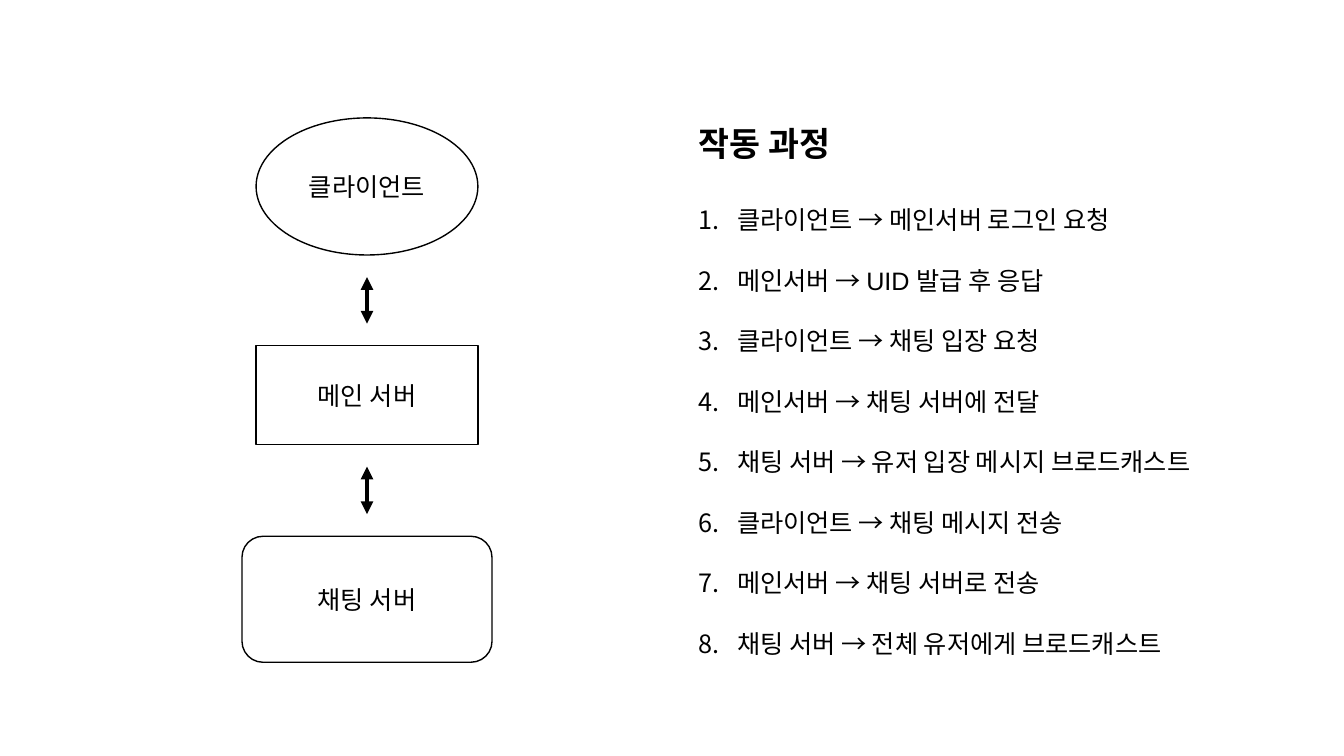
from itertools import pairwise

from lxml import etree
from pptx import Presentation
from pptx.dml.color import RGBColor
from pptx.enum.shapes import MSO_CONNECTOR, MSO_SHAPE
from pptx.enum.text import MSO_ANCHOR, MSO_AUTO_SIZE, PP_ALIGN
from pptx.oxml.ns import qn
from pptx.util import Emu, Pt

EMU_PER_PX = 9144
COLORS = {"ink": "000000", "paper": "FFFFFF"}
LATIN, HANGUL = "Arial", "Noto Sans CJK KR"
STRAIGHT = MSO_CONNECTOR.STRAIGHT
ELLIPSE = MSO_SHAPE.FLOWCHART_CONNECTOR
RECTANGLE, ROUNDED = MSO_SHAPE.RECTANGLE, MSO_SHAPE.ROUNDED_RECTANGLE
TOP, MIDDLE = MSO_ANCHOR.TOP, MSO_ANCHOR.MIDDLE
LEFT, CENTER = PP_ALIGN.LEFT, PP_ALIGN.CENTER
NO_AUTOFIT = MSO_AUTO_SIZE.NONE

FLOW_CENTER = 364
ARROW_GAP = 22
# label, shape, top, width, height
FLOW = [
    ("클라이언트", ELLIPSE, 117, 220, 136),
    ("메인 서버", RECTANGLE, 343, 220, 98),
    ("채팅 서버", ROUNDED, 532, 248, 125),
]
STEPS = [
    "클라이언트 → 메인서버 로그인 요청",
    "메인서버 → UID 발급 후 응답",
    "클라이언트 → 채팅 입장 요청",
    "메인서버 → 채팅 서버에 전달",
    "채팅 서버 → 유저 입장 메시지 브로드캐스트",
    "클라이언트 → 채팅 메시지 전송",
    "메인서버 → 채팅 서버로 전송",
    "채팅 서버 → 전체 유저에게 브로드캐스트",
]


def px(length):
    return Emu(length * EMU_PER_PX)


def color(name):
    return RGBColor.from_string(COLORS[name])


class ProcessSlide:
    def __init__(self, presentation):
        self.slide = presentation.slides.add_slide(presentation.slide_layouts[1])

    def style(self, paragraph, size, align, latin=HANGUL, bold=False):
        paragraph.alignment = align
        font = paragraph.font
        font.size, font.bold, font.name = Pt(size), bold, latin
        font.color.rgb = color("ink")
        # East Asian text takes its own typeface element
        properties = paragraph._p.pPr.find(qn("a:defRPr"))
        etree.SubElement(properties, qn("a:ea"), typeface=HANGUL)

    def place(self, placeholder, left, top, width, height):
        placeholder.left, placeholder.top = px(left), px(top)
        placeholder.width, placeholder.height = px(width), px(height)
        frame = placeholder.text_frame
        frame.auto_size = NO_AUTOFIT
        frame.word_wrap = False
        frame.vertical_anchor = TOP
        return frame

    def title(self, text, *box):
        frame = self.place(self.slide.shapes.title, *box)
        frame.text = text
        self.style(frame.paragraphs[0], 24, LEFT, bold=True)

    def numbered_list(self, items, *box):
        frame = self.place(self.slide.placeholders[1], *box)
        frame.text = "\n".join(items)
        for paragraph in frame.paragraphs:
            properties = paragraph._p.get_or_add_pPr()
            properties.set("marL", str(px(38)))
            properties.set("indent", str(px(-38)))
            etree.SubElement(properties, qn("a:buAutoNum"), type="arabicPeriod")
            paragraph.line_spacing = 2.0
            paragraph.space_before = Pt(0)
            self.style(paragraph, 18, LEFT, latin=LATIN)

    def node(self, label, kind, top, width, height):
        node = self.slide.shapes.add_shape(
            kind, px(FLOW_CENTER - width // 2), px(top), px(width), px(height))
        node.shadow.inherit = False
        node.fill.solid()
        node.fill.fore_color.rgb = color("paper")
        node.line.color.rgb = color("ink")
        node.line.width = Pt(1)
        frame = node.text_frame
        frame.text = label
        frame.vertical_anchor = MIDDLE
        self.style(frame.paragraphs[0], 18, CENTER)

    def double_arrow(self, x, top, bottom):
        arrow = self.slide.shapes.add_connector(
            STRAIGHT, px(x), px(top), px(x), px(bottom))
        arrow.line.color.rgb = color("ink")
        arrow.line.width = Pt(3)
        line = arrow.line._get_or_add_ln()
        for end in ("a:headEnd", "a:tailEnd"):
            etree.SubElement(line, qn(end), type="triangle")
        etree.SubElement(arrow._element.spPr, qn("a:effectLst"))


def main():
    presentation = Presentation()
    presentation.slide_width, presentation.slide_height = px(1333), px(750)
    process = ProcessSlide(presentation)
    process.title("작동 과정", 683, 117, 167, 50)
    process.numbered_list(STEPS, 683, 168, 555, 546)
    for node in FLOW:
        process.node(*node)
    for (_, _, top, _, height), (_, _, next_top, _, _) in pairwise(FLOW):
        process.double_arrow(
            FLOW_CENTER, top + height + ARROW_GAP, next_top - ARROW_GAP)
    presentation.save("out.pptx")


if __name__ == "__main__":
    main()
